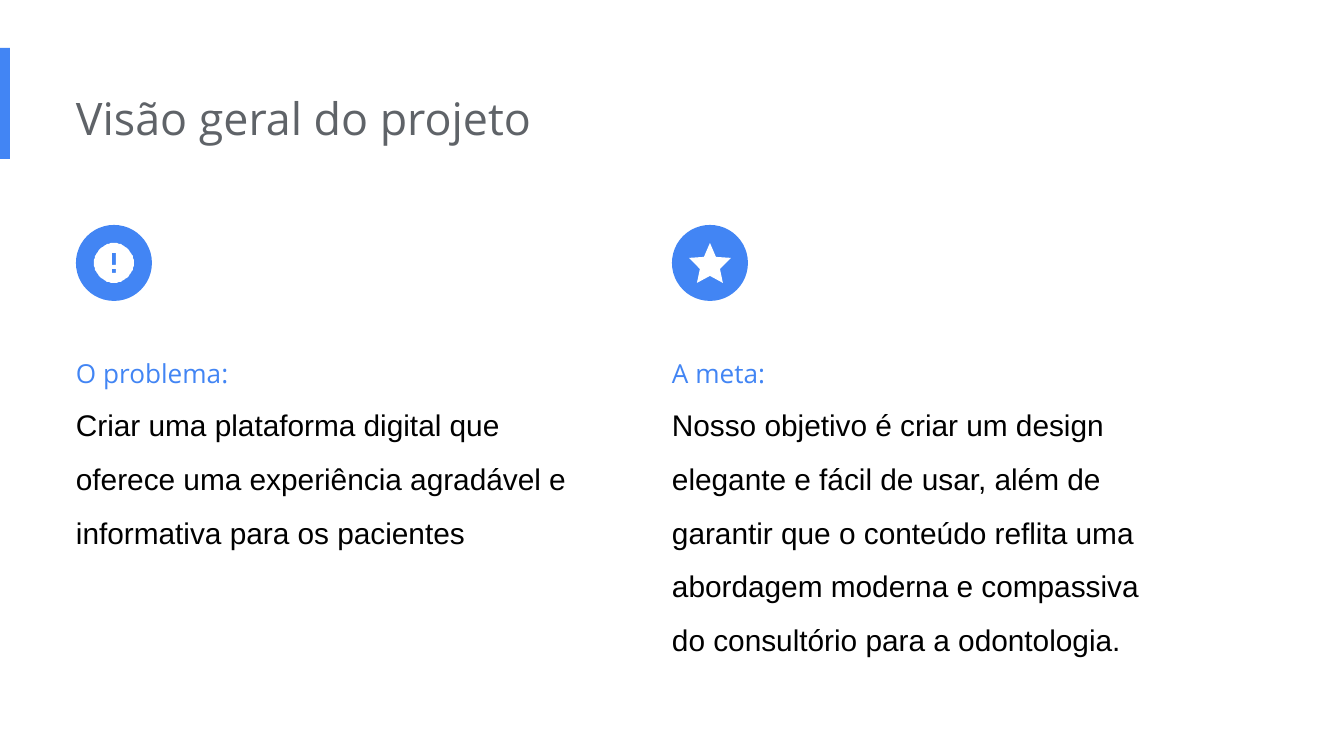
from dataclasses import dataclass
from math import cos, pi, sin

from pptx import Presentation
from pptx.dml.color import RGBColor
from pptx.enum.shapes import MSO_SHAPE as Preset
from pptx.enum.text import MSO_ANCHOR as Anchor, MSO_AUTO_SIZE as AutoSize, PP_ALIGN as Align
from pptx.util import Emu, Pt

EMU_PER_PX = 914400 / 134.4

BLUE = RGBColor(0x42, 0x85, 0xF4)
GRAY = RGBColor(0x5F, 0x63, 0x68)
BLACK = RGBColor(0, 0, 0)
WHITE = RGBColor(0xFF, 0xFF, 0xFF)

HEADING_FONT = "Open Sans"
BODY_FONT = "Arial"

MARGIN = 76
BADGE_TOP = 225
BADGE_SIZE = 76
CENTER = BADGE_SIZE // 2
TEXT_TOP = 329
TEXT_WIDTH = 507
INSET = 13

Contour = list[tuple[float, float]]


@dataclass(frozen=True)
class Column:
    left: int
    text_height: int
    heading: str
    body: str
    icon: list[Contour]


def px(length: float) -> Emu:
    return Emu(round(length * EMU_PER_PX))


def circle(radius: int, steps: int = 72) -> Contour:
    angles = [2 * pi * step / steps for step in range(steps)]
    return [(CENTER + radius * cos(angle), CENTER + radius * sin(angle)) for angle in angles]


def rectangle(left: int, top: int, right: int, bottom: int) -> Contour:
    return [(left, top), (right, top), (right, bottom), (left, bottom)]


def star() -> Contour:
    """Mirror the right half of the star, listed from top to bottom."""
    right_half = [(0, 18), (6, 32), (21, 33), (10, 44), (13, 58), (0, 51)]
    right = [(CENTER + x, y) for x, y in right_half]
    left = [(CENTER - x, y) for x, y in reversed(right_half[1:-1])]
    return right + left


COLUMNS = [
    Column(
        MARGIN, 238, "O problema:",
        "Criar uma plataforma digital que oferece uma experiência agradável e "
        "informativa para os pacientes",
        [circle(20), rectangle(36, 28, 40, 40), rectangle(36, 44, 40, 48)],
    ),
    Column(
        672, 345, "A meta:",
        "Nosso objetivo é criar um design elegante e fácil de usar, além de garantir "
        "que o conteúdo reflita uma abordagem moderna e compassiva do consultório "
        "para a odontologia.",
        [star()],
    ),
]


def paint(shape, color: RGBColor) -> None:
    shape.shadow.inherit = False
    shape.fill.solid()
    shape.fill.fore_color.rgb = color
    shape.line.fill.background()


def add_preset(slide, preset: Preset, left: int, top: int, width: int, height: int) -> None:
    paint(slide.shapes.add_shape(preset, px(left), px(top), px(width), px(height)), BLUE)


def add_icon(slide, left: int, top: int, contours: list[Contour]) -> None:
    """Draw one white outline; contours after the first are holes."""
    first, *holes = contours
    builder = slide.shapes.build_freeform(*first[0], scale=EMU_PER_PX)
    builder.add_line_segments(first[1:], close=True)
    for hole in holes:
        builder.move_to(*hole[0])
        builder.add_line_segments(hole[1:], close=True)
    paint(builder.convert_to_shape(px(left), px(top)), WHITE)


def format_frame(frame, anchor: Anchor) -> None:
    frame.word_wrap = True
    frame.auto_size = AutoSize.SHAPE_TO_FIT_TEXT
    frame.vertical_anchor = anchor
    frame.margin_left = 0
    frame.margin_top = frame.margin_right = frame.margin_bottom = px(INSET)


def write(paragraph, text: str, *, size: int, font: str, color: RGBColor,
          line_spacing: float = 1.0) -> None:
    paragraph.alignment = Align.LEFT
    paragraph.line_spacing = line_spacing
    run = paragraph.add_run()
    run.text = text
    run.font.size = Pt(size)
    run.font.name = font
    run.font.color.rgb = color


def add_title(slide, text: str) -> None:
    title = slide.shapes.title
    title.left, title.top, title.width, title.height = px(MARGIN), px(77), px(905), px(82)
    format_frame(title.text_frame, Anchor.MIDDLE)
    write(title.text_frame.paragraphs[0], text, size=24, font=HEADING_FONT, color=GRAY)


def add_column(slide, column: Column) -> None:
    add_preset(slide, Preset.OVAL, column.left, BADGE_TOP, BADGE_SIZE, BADGE_SIZE)
    add_icon(slide, column.left, BADGE_TOP, column.icon)
    box = slide.shapes.add_textbox(
        px(column.left), px(TEXT_TOP), px(TEXT_WIDTH), px(column.text_height))
    frame = box.text_frame
    format_frame(frame, Anchor.TOP)
    write(frame.paragraphs[0], column.heading,
          size=14, font=HEADING_FONT, color=BLUE, line_spacing=1.5)
    write(frame.add_paragraph(), column.body,
          size=16, font=BODY_FONT, color=BLACK, line_spacing=1.5)


def main() -> None:
    presentation = Presentation()
    presentation.slide_width, presentation.slide_height = px(1344), px(756)
    slide = presentation.slides.add_slide(presentation.slide_layouts.get_by_name("Title Only"))
    add_preset(slide, Preset.RECTANGLE, 0, 48, 10, 111)
    add_title(slide, "Visão geral do projeto")
    for column in COLUMNS:
        add_column(slide, column)
    presentation.save("out.pptx")


if __name__ == "__main__":
    main()
